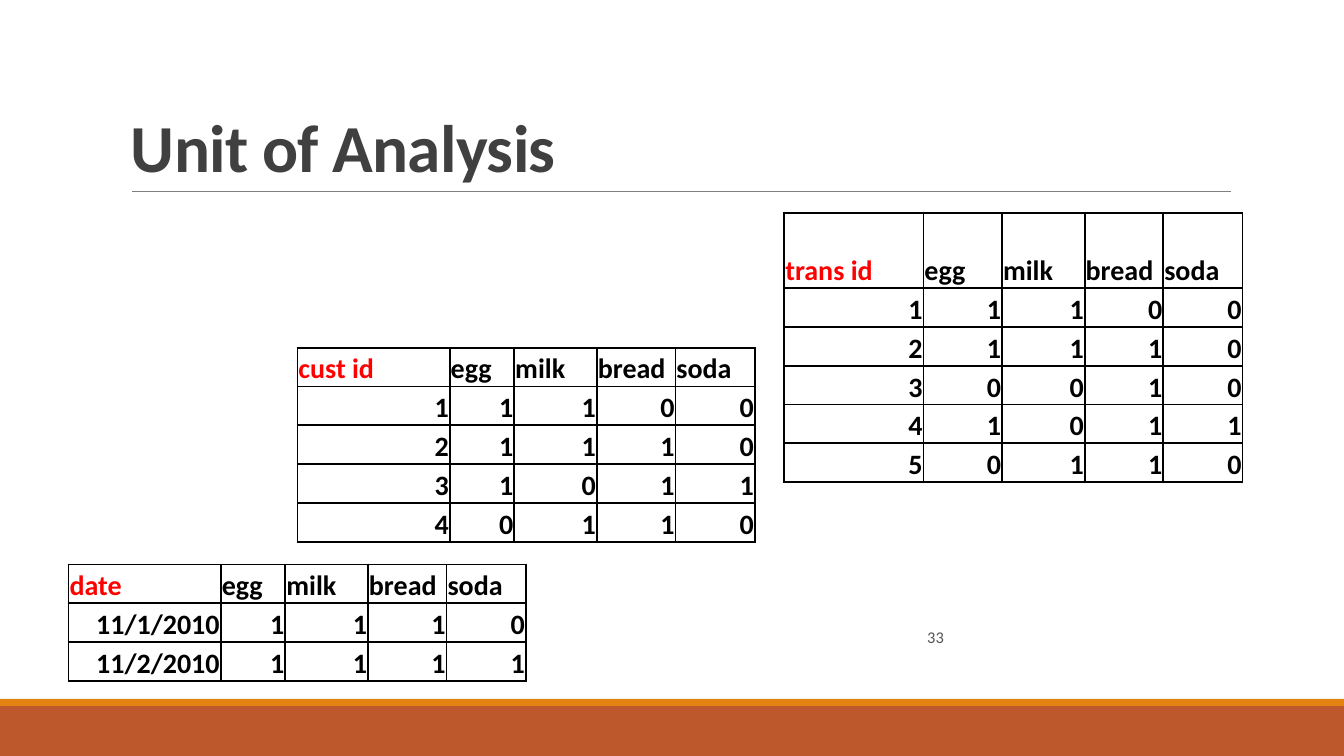
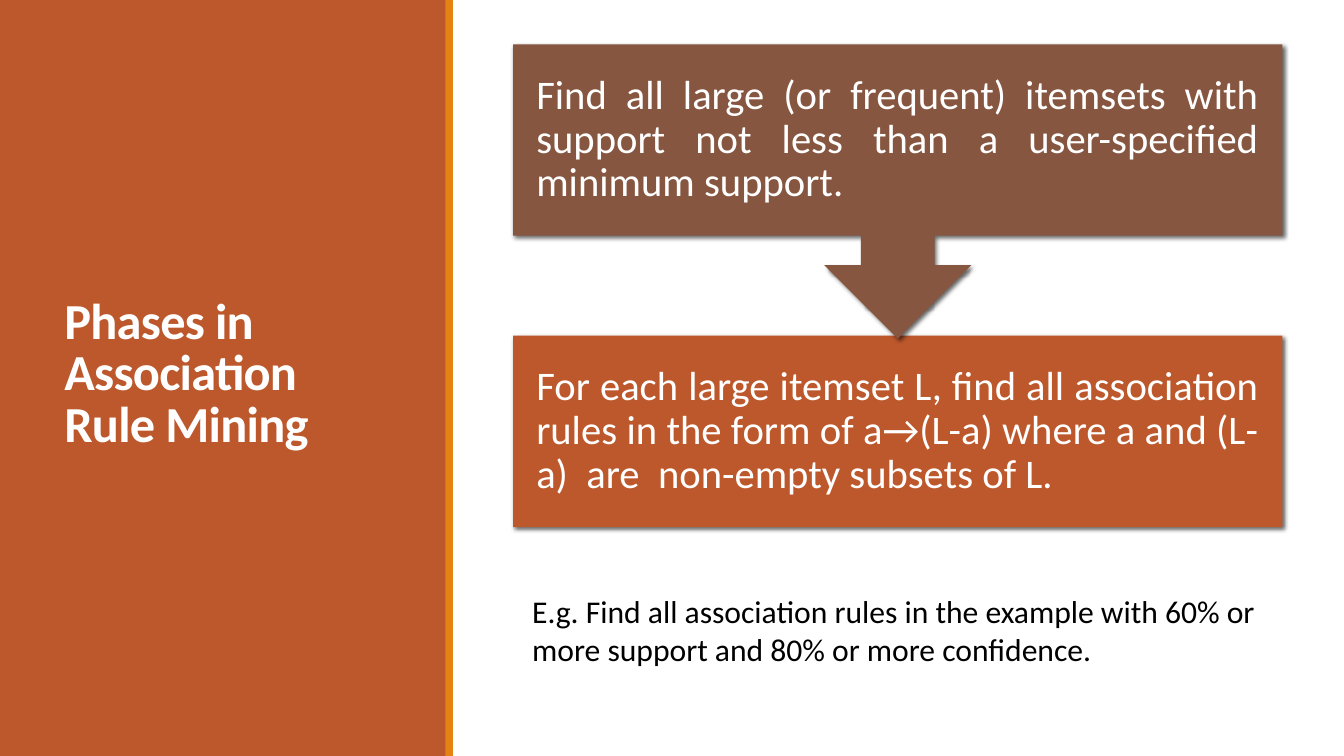
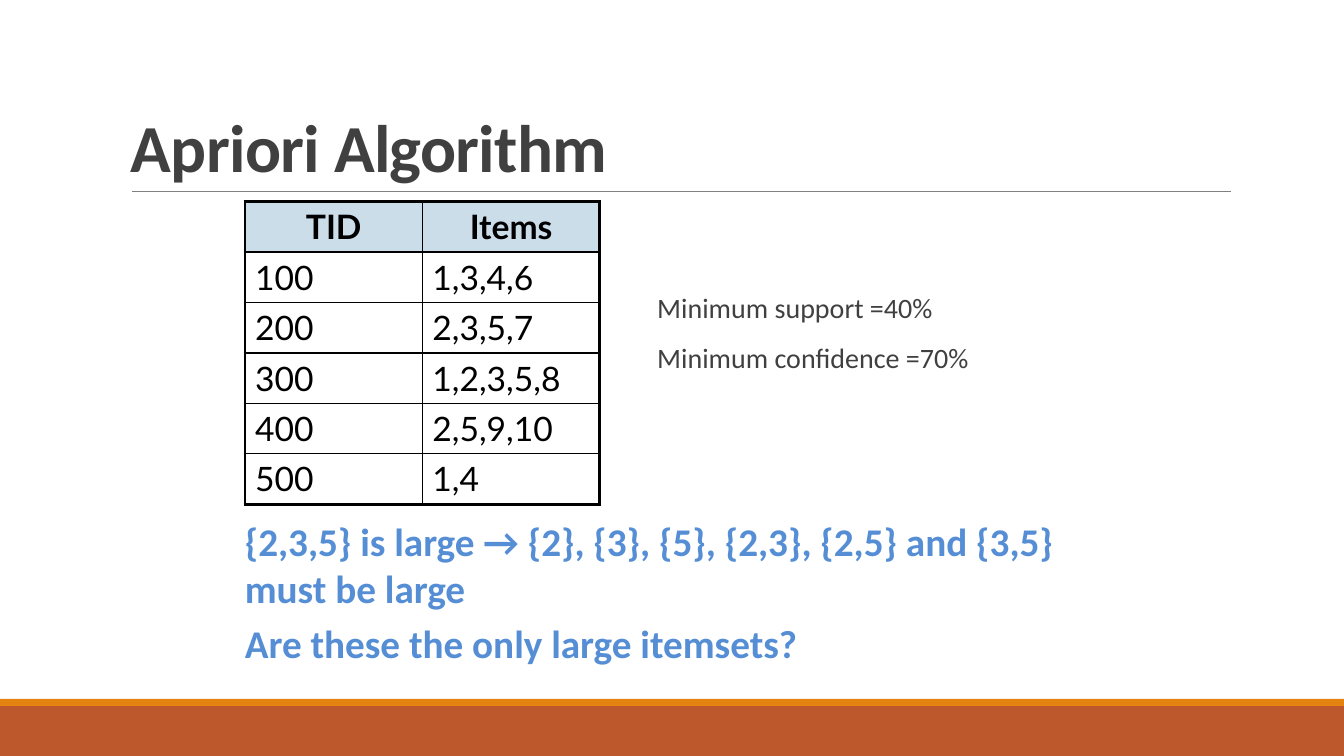
"""Builds three slides on association rule mining."""
from lxml.etree import SubElement
from pptx import Presentation
from pptx.dml.color import RGBColor
from pptx.enum.shapes import MSO_CONNECTOR, MSO_SHAPE
from pptx.enum.text import MSO_ANCHOR, PP_ALIGN
from pptx.oxml.ns import qn
from pptx.util import Inches, Pt

RUST, GOLD, BROWN, WHITE, BLACK = "BD582C", "E48312", "865640", "FFFFFF", "000000"
DARK, GREY, RED, BLUE, PALE = "404040", "555555", "FF0000", "558ED5", "CCDDEA"
RECT, CALL = MSO_SHAPE.RECTANGLE, MSO_SHAPE.DOWN_ARROW_CALLOUT

deck = Presentation()
deck.slide_width, deck.slide_height = Inches(13.33), Inches(7.5)
COL, ROW = deck.slide_width / 100, deck.slide_height / 100
pages = [deck.slides.add_slide(deck.slide_layouts[6]) for _ in range(3)]


def paint(fill, code):
    fill.solid()
    fill.fore_color.rgb = RGBColor.from_string(code)


def write(frame, host, text, look, tint):
    for num, line in enumerate(text.split("\n")):
        para = frame.add_paragraph() if num else frame.paragraphs[0]
        run = para.add_run()
        run.text = line
        for part, goal in zip(look, (host, para, run.font)):
            for key, val in part.items():
                setattr(goal, key, val)
        if not num:
            para.space_before = Pt(0)
        paint(run.font.fill, tint)
        for key, val in look[3].items():
            run.font._element.set(key, val)


SIDES = ("margin_left", "margin_top", "margin_right", "margin_bottom")
wrap = {"word_wrap": True}
tight = {"line_spacing": 0.85}
track = {"spc": "-50"}
thin = dict(zip(SIDES, (Inches(0.01), Inches(0.01), Inches(0.01), 0)))
low = {"vertical_anchor": MSO_ANCHOR.BOTTOM, **thin}
mid = {"vertical_anchor": MSO_ANCHOR.MIDDLE}
font = {"name": "Calibri", "bold": False}
strong = {"name": "Calibri", "bold": True}
lato = {"name": "Lato", "size": Pt(24)}

LOOKS = {
    "title": ({**wrap, "vertical_anchor": MSO_ANCHOR.BOTTOM}, tight, {**strong, "size": Pt(48)}, track),
    "side": ({**wrap, **mid}, tight, {**strong, "size": Pt(36)}, track),
    "page": (wrap, {}, {**font, "size": Pt(11.7)}, {}),
    "phase": ({**wrap, **mid, **dict.fromkeys(SIDES, Inches(0.23))},
              {"line_spacing": 0.9, "alignment": PP_ALIGN.JUSTIFY}, {**font, "size": Pt(29)}, {}),
    "note": (wrap, {}, {**font, "size": Pt(22.6)}, {}),
    "body": (wrap, {"line_spacing": 0.9, "space_before": Pt(12), "space_after": Pt(2)},
             {**font, "size": Pt(20)}, {}),
    "claim": (wrap, {"space_before": Pt(5.6)}, {**strong, "size": Pt(28)}, {}),
    "name": (low, {}, {**strong, "size": Pt(20)}, {}),
    "count": (low, {"alignment": PP_ALIGN.RIGHT}, {**strong, "size": Pt(20)}, {}),
    "head": (mid, {"alignment": PP_ALIGN.CENTER}, {**lato, "bold": True}, {}),
    "item": ({}, {}, {**lato, "bold": False}, {}),
}

items = []
for num, name in ((0, "Unit of Analysis"), (2, "Apriori Algorithm")):
    items += [
        (num, RECT, (0, 93.33, 100, 6.67), RUST, "", "", ""),
        (num, RECT, (0, 92.45, 100, 0.93), GOLD, "", "", ""),
        (num, None, (9, 4.13, 82.5, 21.2), "", name, "title", DARK),
    ]
    rule = pages[num].shapes.add_connector(
        MSO_CONNECTOR.STRAIGHT, *(int(v) for v in (9.83 * COL, 25.33 * ROW, 91.6 * COL, 25.33 * ROW)))
    rule.line.width = Pt(0.5)
    paint(rule.line.fill, "808080")
    SubElement(rule._element.spPr, qn("a:effectLst"))

items += [
    (0, None, (68.25, 82.27, 7.05, 3.47), "", "33", "page", GREY),
    (1, RECT, (0, 0, 33.25, 100), RUST, "", "", ""),
    (1, RECT, (33.15, 0, 0.55, 100), GOLD, "", "", ""),
    (1, None, (4.05, 7.6, 25.3, 84.13), "", "Phases in Association Rule Mining", "side", WHITE),
    (1, RECT, (38.18, 44.4, 57.24, 25.33), RUST,
     "For each large itemset L, find all association rules in the form of a→(L-a) "
     "where a and (L-a)  are  non-empty subsets of L.", "phase", WHITE),
    (1, CALL, (38.18, 5.87, 57.24, 38.93), BROWN,
     "Find all large (or frequent) itemsets with support not less than "
     "a user-specified minimum support.", "phase", WHITE),
    (1, None, (38.86, 77.6, 55.74, 12), "",
     "E.g. Find all association rules in the example with 60% or more support "
     "and 80% or more confidence.", "note", BLACK),
    (2, None, (48.16, 38.27, 38.78, 16.67), "",
     "Minimum support =40%\nMinimum confidence =70%", "body", DARK),
    (2, None, (17.48, 67.73, 64.37, 21.2), "",
     "{2,3,5} is large → {2}, {3}, {5}, {2,3}, {2,5} and {3,5} must be large\n"
     "Are these the only large itemsets?", "claim", BLUE),
]

for num, kind, (x, y, w, h), fill, text, look, tint in items:
    spot = [int(v) for v in (x * COL, y * ROW, w * COL, h * ROW)]
    if kind is None:
        shape = pages[num].shapes.add_textbox(*spot)
    else:
        shape = pages[num].shapes.add_shape(kind, *spot)
        shape.shadow.inherit = False
        shape.line.fill.background()
        paint(shape.fill, fill)
    if kind and text:
        glow = SubElement(shape._element.spPr.find(qn("a:effectLst")), qn("a:outerShdw"),
                          blurRad=str(Pt(3)), dist=str(Pt(2)), dir=str(45 * 60000))
        shade = SubElement(glow, qn("a:srgbClr"), val=BLACK)
        SubElement(shade, qn("a:alpha"), val="60000")
    if text:
        write(shape.text_frame, shape.text_frame, text, LOOKS[look], tint)

goods = ["egg", "milk", "bread", "soda"]
wide = (11.33, 4.8, 6.15, 5.85, 5.9)
units = [
    ("trans id", 58.36, 28.13, (10.35, 5.85, 6.15, 5.85, 5.9), 10,
     {"1": "1100", "2": "1110", "3": "0010", "4": "1011", "5": "0110"}),
    ("cust id", 22.13, 46, wide, 5.13, {"1": "1100", "2": "1110", "3": "1011", "4": "0110"}),
    ("date", 5.1, 74.67, wide, 5.13, {"11/1/2010": "1110", "11/2/2010": "1111"}),
]
grids = [
    (0, x, y, cols, top, 5.13, [[name, *goods]] + [[key, *bits] for key, bits in data.items()],
     ("name", "count"), RED, None, (1.5, 1.5))
    for name, x, y, cols, top, data in units
]
baskets = [["TID", "Items"], ["100", "1,3,4,6"], ["200", "2,3,5,7"], ["300", "1,2,3,5,8"],
           ["400", "2,5,9,10"], ["500", "1,4"]]
grids.append((2, 18.23, 26.67, (13.2, 13.2), 6.67, 6.67, baskets, ("head", "item"), BLACK, PALE, (2.25, 1)))

for num, x, y, cols, top, step, data, looks, lead, fill, (rim, line) in grids:
    tall = [top] + [step] * (len(data) - 1)
    spot = [int(v) for v in (x * COL, y * ROW, sum(cols) * COL, sum(tall) * ROW)]
    table = pages[num].shapes.add_table(len(data), len(cols), *spot).table
    table.first_row = table.horz_banding = False
    for col, w in zip(table.columns, cols):
        col.width = int(w * COL)
    for row, h in zip(table.rows, tall):
        row.height = int(h * ROW)
    for r, texts in enumerate(data):
        for c, text in enumerate(texts):
            cell = table.cell(r, c)
            write(cell.text_frame, cell, text, LOOKS[looks[r > 0]], BLACK if r or c else lead)
            edges = {"L": c == 0, "R": c == len(cols) - 1, "T": r == 0, "B": r == len(data) - 1}
            for side, outer in edges.items():
                edge = SubElement(cell._tc.get_or_add_tcPr(), qn("a:ln" + side),
                                  w=str(Pt(rim if outer else line)))
                SubElement(SubElement(edge, qn("a:solidFill")), qn("a:srgbClr"), val=BLACK)
            if fill and r == 0:
                paint(cell.fill, fill)
            else:
                cell.fill.background()

deck.save("out.pptx")
